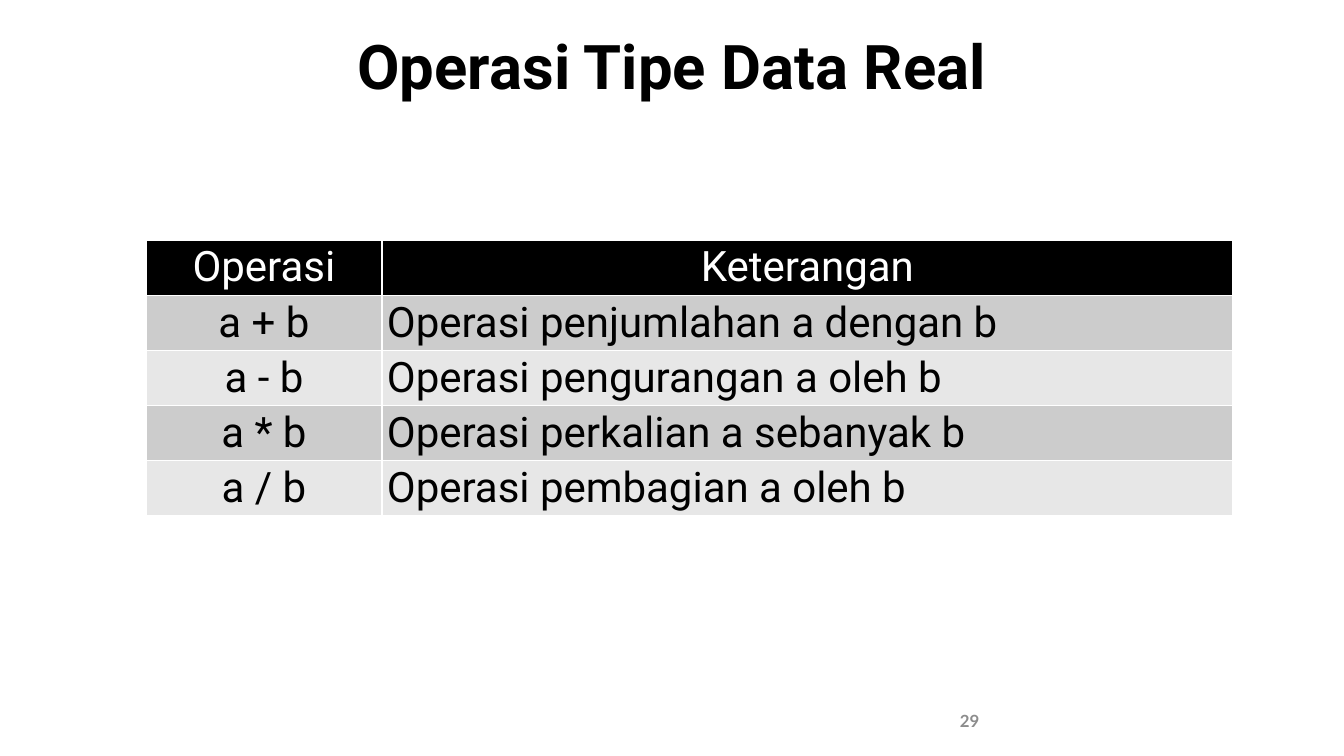
from dataclasses import dataclass

from lxml import etree
from pptx import Presentation
from pptx import util as u
from pptx.dml.color import RGBColor
from pptx.enum import text
from pptx.oxml import ns

EMU_PER_PX = 914400 / 100.8
ROWS = [
    ("Operasi", "Keterangan"),
    ("a + b", "Operasi penjumlahan a dengan b"),
    ("a - b", "Operasi pengurangan a oleh b"),
    ("a * b", "Operasi perkalian a sebanyak b"),
    ("a / b", "Operasi pembagian a oleh b"),
]
COLUMN_WIDTHS = (236, 851)
ROW_HEIGHT = 55


@dataclass(frozen=True)
class Theme:
    black: str = "000000"
    white: str = "FFFFFF"
    bands: tuple = ("E7E7E7", "CCCCCC")
    number_gray: str = "8C8C8C"
    font: str = "Roboto"
    number_font: str = "Lato"
    title_size: int = 44
    table_size: int = 30
    number_size: int = 12
    border_width: int = 1


THEME = Theme()


def px(length):
    return u.Emu(round(length * EMU_PER_PX))


def set_attributes(target, values):
    for name, value in values.items():
        setattr(target, name, value)


def margins(side, top):
    return dict(margin_left=px(side), margin_right=px(side),
                margin_top=px(top), margin_bottom=px(top))


def write_text(frame, content, alignment, color, **font_values):
    paragraph = frame.paragraphs[0]
    paragraph.alignment = alignment
    run = paragraph.add_run()
    run.text = content
    set_attributes(run.font, font_values)
    run.font.color.rgb = RGBColor.from_string(color)


def add_text(slide, box, content, frame_values, **text_values):
    frame = slide.shapes.add_textbox(*map(px, box)).text_frame
    set_attributes(frame, {"word_wrap": True, **frame_values})
    write_text(frame, content, **text_values)


def add_borders(cell):
    properties = cell._tc.get_or_add_tcPr()
    for side in "LRTB":
        line = etree.SubElement(properties, ns.qn(f"a:ln{side}"),
                                w=str(u.Pt(THEME.border_width)))
        fill = etree.SubElement(line, ns.qn("a:solidFill"))
        etree.SubElement(fill, ns.qn("a:srgbClr"), val=THEME.white)


def format_cell(cell, content, row, column):
    is_header = row == 0
    fill_color = THEME.black if is_header else THEME.bands[row % 2]
    centered = is_header or column == 0
    set_attributes(cell, margins(5, 3))
    add_borders(cell)
    cell.fill.solid()
    cell.fill.fore_color.rgb = RGBColor.from_string(fill_color)
    write_text(cell.text_frame, content,
               text.PP_ALIGN.CENTER if centered else text.PP_ALIGN.LEFT,
               THEME.white if is_header else THEME.black,
               name=THEME.font, size=u.Pt(THEME.table_size), bold=False)


def add_operations_table(slide, left, top):
    box = (left, top, sum(COLUMN_WIDTHS), ROW_HEIGHT * len(ROWS))
    table = slide.shapes.add_table(len(ROWS), len(COLUMN_WIDTHS),
                                   *map(px, box)).table
    for column, width in zip(table.columns, COLUMN_WIDTHS):
        column.width = px(width)
    for row, contents in enumerate(ROWS):
        table.rows[row].height = px(ROW_HEIGHT)
        for column, content in enumerate(contents):
            format_cell(table.cell(row, column), content, row, column)


def main():
    presentation = Presentation()
    set_attributes(presentation, {"slide_width": px(1344),
                                  "slide_height": px(756)})
    slide = presentation.slides.add_slide(presentation.slide_layouts[6])
    add_operations_table(slide, 146, 240)
    add_text(slide, (0, 26, 1344, 80), "Operasi Tipe Data Real",
             {**margins(5, 2), "auto_size": text.MSO_AUTO_SIZE.SHAPE_TO_FIT_TEXT},
             alignment=text.PP_ALIGN.CENTER, color=THEME.black,
             name=THEME.font, size=u.Pt(THEME.title_size), bold=True)
    add_text(slide, (950, 701, 302, 40), "29",
             {"vertical_anchor": text.MSO_ANCHOR.MIDDLE},
             alignment=text.PP_ALIGN.LEFT, color=THEME.number_gray,
             name=THEME.number_font, size=u.Pt(THEME.number_size), bold=True)
    presentation.save("out.pptx")


if __name__ == "__main__":
    main()
